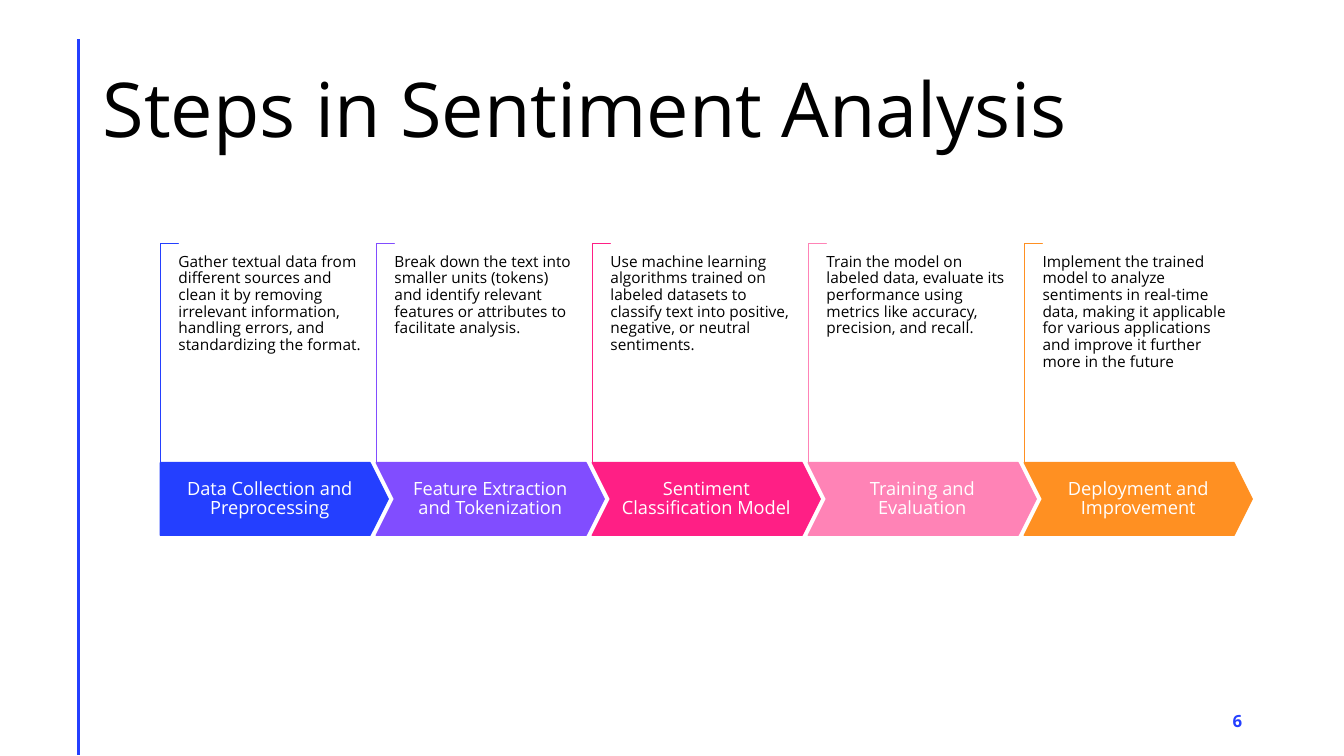
from lxml import etree
from pptx import Presentation
from pptx import util as u
from pptx.dml.color import RGBColor
from pptx.enum import shapes, text
from pptx.oxml.ns import qn

COLORS = {
    "blue": "243FFF", "purple": "814DFF", "magenta": "FF1F85",
    "pink": "FF83B6", "orange": "FF9022", "white": "FFFFFF", "black": "000000",
}
STEPS = [
    ("blue", "Data Collection and Preprocessing",
     "Gather textual data from different sources and clean it by removing irrelevant "
     "information, handling errors, and standardizing the format."),
    ("purple", "Feature Extraction and Tokenization",
     "Break down the text into smaller units (tokens) and identify relevant features "
     "or attributes to facilitate analysis."),
    ("magenta", "Sentiment Classification Model",
     "Use machine learning algorithms trained on labeled datasets to classify text "
     "into positive, negative, or neutral sentiments."),
    ("pink", "Training and Evaluation",
     "Train the model on labeled data, evaluate its performance using metrics like "
     "accuracy, precision, and recall."),
    ("orange", "Deployment and Improvement",
     "Implement the trained model to analyze sentiments in real-time data, making it "
     "applicable for various applications and improve it further more in the future"),
]
FIRST_LEFT, LAST_LEFT = 1.59, 10.16
PITCH = (LAST_LEFT - FIRST_LEFT) / (len(STEPS) - 1)
ARROW_TOP, ARROW_WIDTH, ARROW_HEIGHT = 4.59, 2.26, 0.72
BRACKET_LENGTH, BRACKET_DEPTH, BRACKET_TOP = 2.17, 0.18, 3.41


def write(holder, wording, size, color, align, anchor, margins, spacing=0.9, bold=False):
    """Fill a shape with one paragraph; margins are (horizontal, vertical) in inches."""
    frame = holder.text_frame
    across, down = (u.Inches(margin) for margin in margins)
    frame_format = {
        "text": wording, "word_wrap": True, "auto_size": text.MSO_AUTO_SIZE.NONE,
        "vertical_anchor": anchor, "margin_left": across, "margin_right": across,
        "margin_top": down, "margin_bottom": down,
    }
    for name, value in frame_format.items():
        setattr(frame, name, value)
    paragraph = frame.paragraphs[0]
    paragraph.alignment, paragraph.line_spacing = align, spacing
    for name, value in {"name": "Open Sans", "size": u.Pt(size), "bold": bold}.items():
        setattr(paragraph.font, name, value)
    paragraph.font.color.rgb = RGBColor.from_string(COLORS[color])


def add_outlined(kind, box, fill, line, adjustments):
    outlined = slide.shapes.add_shape(kind, *map(u.Inches, box))
    outlined.shadow.inherit = False
    outlined.fill.solid()
    outlined.fill.fore_color.rgb = RGBColor.from_string(COLORS[fill])
    outlined.line.color.rgb = RGBColor.from_string(COLORS[line])
    outlined.line.width = u.Pt(1)
    for index, value in enumerate(adjustments):
        outlined.adjustments[index] = value
    return outlined


deck = Presentation()
deck.slide_width, deck.slide_height = u.Inches(13.33), u.Inches(7.5)
slide = deck.slides.add_slide(deck.slide_layouts[5])
LEFT, CENTER, RIGHT = text.PP_ALIGN.LEFT, text.PP_ALIGN.CENTER, text.PP_ALIGN.RIGHT
TOP, MIDDLE = text.MSO_ANCHOR.TOP, text.MSO_ANCHOR.MIDDLE

# Heading, side rule and page number
heading = slide.shapes.title
heading_box = {"left": 0.92, "top": 0.4, "width": 11.5, "height": 1.45}
for side, length in heading_box.items():
    setattr(heading, side, u.Inches(length))
write(heading, "Steps in Sentiment Analysis", 54, "black", LEFT, MIDDLE, (0.1, 0.05))

side_rule = slide.shapes.add_connector(
    shapes.MSO_CONNECTOR.STRAIGHT, *map(u.Inches, (0.78, 0.39, 0.78, 7.49)))
side_rule.line.color.rgb = RGBColor.from_string(COLORS["blue"])
side_rule.line.width = u.Pt(2)
etree.SubElement(side_rule.element.spPr, qn("a:effectLst"))

page_number = slide.shapes.add_textbox(*map(u.Inches, (9.42, 6.95, 3, 0.4)))
write(page_number, "6", 12, "blue", RIGHT, MIDDLE, (0.1, 0.05), spacing=1.0, bold=True)

# Process steps: bracket, arrow and description
for number, (color, step_name, description) in enumerate(STEPS):
    left = FIRST_LEFT + number * PITCH

    bracket_left = left + (BRACKET_DEPTH - BRACKET_LENGTH) / 2
    bracket = add_outlined(
        shapes.MSO_SHAPE.CORNER,
        (bracket_left, BRACKET_TOP, BRACKET_LENGTH, BRACKET_DEPTH),
        "white", color, (0.01, 0.01))
    bracket.rotation = 90

    arrow_kind = shapes.MSO_SHAPE.CHEVRON if number else shapes.MSO_SHAPE.PENTAGON
    arrow = add_outlined(
        arrow_kind, (left, ARROW_TOP, ARROW_WIDTH, ARROW_HEIGHT), color, color, (0.25,))
    write(arrow, step_name, 13, "white", CENTER, MIDDLE, (0.09, 0.18))

    details = slide.shapes.add_textbox(
        *map(u.Inches, (left + BRACKET_DEPTH, 2.52, 1.83, 1.55)))
    write(details, description, 11, "black", LEFT, TOP, (0, 0))

deck.save("out.pptx")
